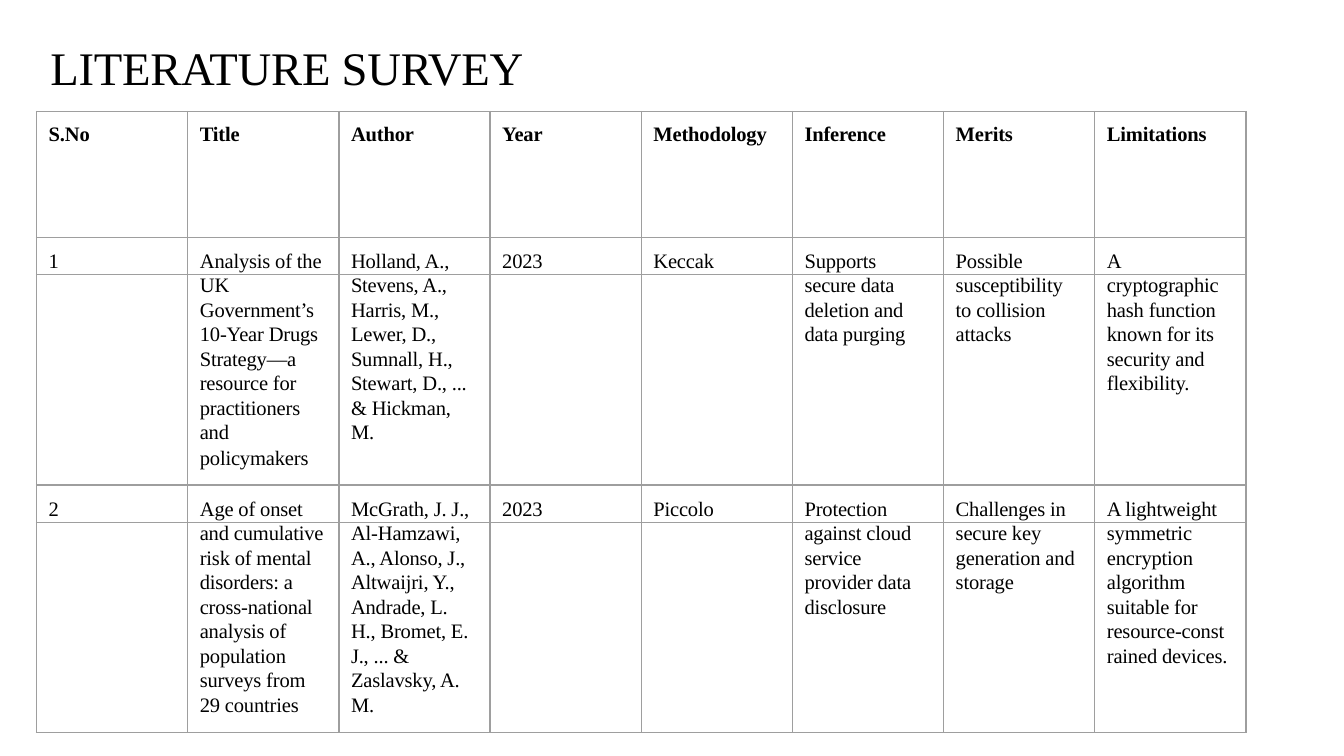
from lxml import etree
from pptx import Presentation, util as u
from pptx.dml.color import RGBColor
from pptx.enum import text
from pptx.oxml import ns

HUES = {"ink": "000000", "rule": "9E9E9E"}
HEADS = ["S.No", "Title", "Author", "Year", "Methodology", "Inference", "Merits", "Limitations"]
PAPERS = [
    [
        "1",
        "Analysis of the|UK|Government’s|10-Year Drugs|Strategy—a|resource for|practitioners|and|policymakers",
        "Holland, A.,|Stevens, A.,|Harris, M.,|Lewer, D.,|Sumnall, H.,|Stewart, D., ...|& Hickman,|M.",
        "2023",
        "Keccak",
        "Supports|secure data|deletion and|data purging",
        "Possible|susceptibility|to collision|attacks",
        "A|cryptographic|hash function|known for its|security and|flexibility.",
    ],
    [
        "2",
        "Age of onset|and cumulative|risk of mental|disorders: a|cross-national|analysis of|population|surveys from|29 countries",
        "McGrath, J. J.,|Al-Hamzawi,|A., Alonso, J.,|Altwaijri, Y.,|Andrade, L.|H., Bromet, E.|J., ... &|Zaslavsky, A.|M.",
        "2023",
        "Piccolo",
        "Protection|against cloud|service|provider data|disclosure",
        "Challenges in|secure key|generation and|storage",
        "A lightweight|symmetric|encryption|algorithm|suitable for|resource-const|rained devices.",
    ],
]
LINES = 9


def write(frame, words, size=11, bold=False, indent=6.5, before=0, line=None):
    """Put one formatted paragraph in a text frame."""
    para = frame.paragraphs[0]
    para.alignment = text.PP_ALIGN.LEFT
    para.space_before = u.Pt(before)
    if line:
        para.line_spacing = u.Pt(line)
    para._p.get_or_add_pPr().set("marL", str(u.Pt(indent)))
    para._p.get_or_add_pPr().set("indent", "0")
    if not words:
        etree.SubElement(para._p, ns.qn("a:endParaRPr")).set("sz", "800")
        return
    run = para.add_run()
    run.text = words
    font = run.font
    font.name, font.size, font.bold = "Times New Roman", u.Pt(size), bold
    font.color.rgb = RGBColor.from_string(HUES["ink"])
    run._r.get_or_add_rPr().set("spc", "-10")


class Deck:
    """Holds the style and the current slide."""

    def __init__(self):
        """Start a deck with one titled slide."""
        self.prs = Presentation()
        self.prs.slide_width, self.prs.slide_height = u.Pt(720), u.Pt(405)
        self.slide = self.prs.slides.add_slide(self.prs.slide_layouts[5])

    def title(self, words, x, y, w, h):
        """Place and fill the title."""
        shape = self.slide.shapes.title
        shape.left, shape.top, shape.width, shape.height = map(u.Pt, (x, y, w, h))
        frame = shape.text_frame
        frame.margin_left = frame.margin_right = frame.margin_bottom = 0
        frame.margin_top = u.Pt(1.4)
        frame.vertical_anchor = text.MSO_ANCHOR.TOP
        frame.word_wrap = True
        frame.auto_size = text.MSO_AUTO_SIZE.SHAPE_TO_FIT_TEXT
        write(frame, words, size=25, indent=1, before=1.2)

    def border(self, cell, sides):
        """Draw the named sides of a cell."""
        props = cell._tc.get_or_add_tcPr()
        for side in "LRTB":
            edge = etree.SubElement(props, ns.qn("a:ln" + side))
            if side in sides:
                edge.set("w", str(u.Pt(0.75)))
                fill = etree.SubElement(edge, ns.qn("a:solidFill"))
                etree.SubElement(fill, ns.qn("a:srgbClr")).set("val", HUES["rule"])
            else:
                edge.set("w", "0")
                etree.SubElement(edge, ns.qn("a:noFill"))

    def cell(self, cell, words, sides, top=0, **form):
        """Fill and frame one cell."""
        cell.margin_left = cell.margin_right = cell.margin_bottom = 0
        cell.margin_top = u.Pt(top)
        self.border(cell, sides)
        cell.fill.background()
        write(cell.text_frame, words, before=top, **form)

    def table(self, heads, papers, x, y, wide):
        """Lay out the survey with one table row per text line."""
        highs = [67.5] + ([20] + [13.15] * (LINES - 2) + [20.85]) * len(papers)
        area = map(u.Pt, (x, y, wide * len(heads), sum(highs)))
        grid = self.slide.shapes.add_table(len(highs), len(heads), *area).table
        grid.first_row = grid.horz_banding = False
        style = grid._tbl.tblPr.find(ns.qn("a:tableStyleId"))
        style.text = "{2D5ABB26-0587-4C30-8999-92F81FD0307C}"
        for row, high in zip(grid.rows, highs):
            row.height = u.Pt(high)
        for col, head in enumerate(heads):
            grid.columns[col].width = u.Pt(wide)
            self.cell(grid.cell(0, col), head, "LRTB", top=6.3, bold=True)
            for num, paper in enumerate(papers):
                parts = paper[col].split("|")
                parts += [""] * (LINES - len(parts))
                for step, part in enumerate(parts):
                    cell = grid.cell(1 + num * LINES + step, col)
                    if step == 0:
                        self.cell(cell, part, "LRTB", top=6.3, line=12.9)
                    elif step == LINES - 1:
                        self.cell(cell, part, "LRB", line=12.5)
                    else:
                        self.cell(cell, part, "LRT" if step == 1 else "LR", line=12.2)


def main():
    """Build and save the slide."""
    deck = Deck()
    deck.title("LITERATURE SURVEY", 26, 19.4, 259, 32.4)
    deck.table(HEADS, PAPERS, 19.6, 59.7, 81)
    deck.prs.save("out.pptx")


if __name__ == "__main__":
    main()
